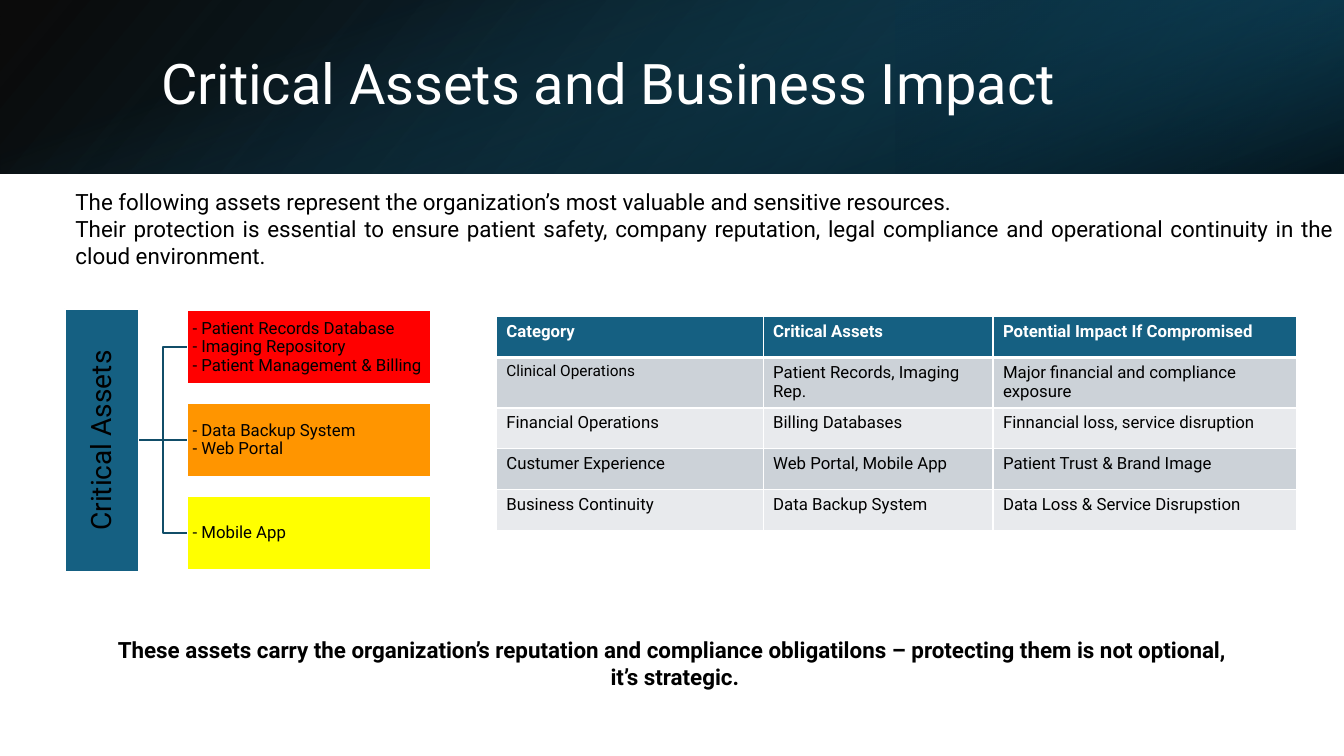
"""Build the slide on critical assets and their business impact."""
from lxml import etree
from pptx import Presentation
from pptx import util as u
from pptx.dml.color import RGBColor
from pptx.enum import shapes, text
from pptx.oxml.ns import qn

Pt = u.Pt
FONT = "Roboto"
COLORS = {
    "white": "FFFFFF", "black": "000000", "teal": "156082", "line": "114D68",
    "deep": "104862", "night": "0B3041", "red": "FF0000", "orange": "FF9500",
    "yellow": "FFFF00", "odd": "CCD2D8", "even": "E8EAED",
}
BANNER_HEIGHT = 123.84
BANNER_LAYERS = [
    {"box": (0, 0, 960, BANNER_HEIGHT), "turn": 0, "flip": True, "angle": 140,
     "stops": [(0, "black", 96), (100, "deep", 100)]},
    {"box": (640, 0, 320, BANNER_HEIGHT), "turn": 180, "flip": True, "angle": 320,
     "stops": [(19, "night", 68), (100, "teal", 79)]},
    {"box": (418.08, -418.08, BANNER_HEIGHT, 960), "turn": 90, "flip": False, "angle": 340,
     "stops": [(23, "teal", 0), (99, "black", 74)]},
]
TITLE = "Critical Assets and Business Impact"
INTRO = [
    "The following assets represent the organization’s most valuable and sensitive resources.",
    "Their protection is essential to ensure patient safety, company reputation, legal compliance "
    "and operational continuity in the cloud environment.",
]
CLOSING = [
    "These assets carry the organization’s reputation and compliance obligatilons – "
    "protecting them is not optional, ",
    "it’s strategic.",
]
ROOT = "Critical Assets"
TIERS = [
    ("red", ["Patient Records Database", "Imaging Repository", "Patient Management & Billing"]),
    ("orange", ["Data Backup System", "Web Portal"]),
    ("yellow", ["Mobile App"]),
]
IMPACTS = [
    ("Category", "Critical Assets", "Potential Impact If Compromised"),
    ("Clinical Operations", "Patient Records, Imaging Rep.",
     "Major financial and compliance exposure"),
    ("Financial Operations", "Billing Databases", "Finnancial loss, service disruption"),
    ("Custumer Experience", "Web Portal, Mobile App", "Patient Trust & Brand Image"),
    ("Business Continuity", "Data Backup System", "Data Loss & Service Disrupstion"),
]
COLUMN_WIDTHS = (190.6, 164.2, 216.9)
ROW_HEIGHT = 29.2


def rgb(name):
    return RGBColor.from_string(COLORS[name])


def write(frame, lines, size, color="black", bold=False, align=None, spacing=None):
    frame.word_wrap = True
    for index, line in enumerate(lines):
        para = frame.paragraphs[0] if index == 0 else frame.add_paragraph()
        para.text = line
        para.alignment = align
        para.line_spacing = spacing
        para.font.name = FONT
        para.font.size = Pt(size)
        para.font.bold = bold
        para.font.color.rgb = rgb(color)


def add_text(page, place, lines, size, **style):
    box = page.shapes.add_textbox(*map(Pt, place))
    write(box.text_frame, lines, size, **style)
    return box


def add_rectangle(page, place):
    box = page.shapes.add_shape(shapes.MSO_SHAPE.RECTANGLE, *map(Pt, place))
    box.shadow.inherit = False
    return box


def add_banner_layer(page, layer):
    box = add_rectangle(page, layer["box"])
    box.line.fill.background()
    box.rotation = layer["turn"]
    if layer["flip"]:
        box._element.spPr.find(qn("a:xfrm")).set("flipH", "1")
    box.fill.gradient()
    box.fill.gradient_angle = 360 - layer["angle"]
    for stop, (position, color, opacity) in zip(box.fill.gradient_stops, layer["stops"]):
        stop.position = position / 100
        stop.color.rgb = rgb(color)
    tints = box._element.spPr.iter(qn("a:srgbClr"))
    for tint, (position, color, opacity) in zip(list(tints), layer["stops"]):
        etree.SubElement(tint, qn("a:alpha")).set("val", str(opacity * 1000))


def add_node(page, place, color, label, size, align):
    box = add_rectangle(page, place)
    box.fill.solid()
    box.fill.fore_color.rgb = rgb(color)
    box.line.color.rgb = rgb("white")
    box.line.width = Pt(1.5)
    frame = box.text_frame
    frame.margin_left = frame.margin_right = frame.margin_top = frame.margin_bottom = Pt(0.7)
    frame.vertical_anchor = text.MSO_ANCHOR.MIDDLE
    write(frame, [label], size, align=align, spacing=0.9)
    return box


def add_branch(page, start, end, leaf):
    straight = start[1] == end[1]
    kind = shapes.MSO_CONNECTOR.STRAIGHT if straight else shapes.MSO_CONNECTOR.ELBOW
    branch = page.shapes.add_connector(kind, *map(Pt, start + end))
    branch.line.color.rgb = rgb("line")
    branch.line.width = Pt(1.5)
    etree.SubElement(branch._element.spPr, qn("a:effectLst"))
    if straight:
        branch.end_connect(leaf, 1)


def add_asset_tree(page):
    middle, thickness, length = 314.6, 53, 188
    root_right, leaf_left, leaf_width, pitch = 99.4, 133.9, 174, 66.4
    root_center = root_right - thickness / 2
    root = add_node(page, (root_center - length / 2, middle - thickness / 2, length, thickness),
                    "teal", ROOT, 20, text.PP_ALIGN.CENTER)
    root.rotation = 270
    for index, (color, assets) in enumerate(TIERS):
        center = middle + (index - 1) * pitch
        label = "\v".join(f" - {asset}" for asset in assets)
        leaf = add_node(page, (leaf_left, center - thickness / 2, leaf_width, thickness),
                        color, label, 12, text.PP_ALIGN.LEFT)
        add_branch(page, (root_right, middle), (leaf_left, center), leaf)


def set_borders(cell, row):
    widths = {"lnL": 1, "lnR": 1, "lnT": 3 if row == 1 else 1, "lnB": 3 if row == 0 else 1}
    properties = cell._tc.get_or_add_tcPr()
    for index, (side, width) in enumerate(widths.items()):
        border = etree.Element(qn(f"a:{side}"), w=str(Pt(width)))
        fill = etree.SubElement(border, qn("a:solidFill"))
        etree.SubElement(fill, qn("a:srgbClr")).set("val", COLORS["white"])
        properties.insert(index, border)


def add_impact_table(page):
    place = (354.5, 226.2, sum(COLUMN_WIDTHS), ROW_HEIGHT * len(IMPACTS))
    table = page.shapes.add_table(len(IMPACTS), len(COLUMN_WIDTHS), *map(Pt, place)).table
    for column, width in zip(table.columns, COLUMN_WIDTHS):
        column.width = Pt(width)
    for row, values in enumerate(IMPACTS):
        table.rows[row].height = Pt(ROW_HEIGHT)
        header = row == 0
        shade = "teal" if header else ("even", "odd")[row % 2]
        for column, value in enumerate(values):
            cell = table.cell(row, column)
            cell.fill.solid()
            cell.fill.fore_color.rgb = rgb(shade)
            size = 11 if (row, column) == (1, 0) else 12
            write(cell.text_frame, [value], size, "white" if header else "black", header)
            set_borders(cell, row)


def main():
    deck = Presentation()
    deck.slide_width, deck.slide_height = Pt(960), Pt(540)
    page = deck.slides.add_slide(deck.slide_layouts[6])
    for layer in BANNER_LAYERS:
        add_banner_layer(page, layer)
    title = add_text(page, (108, 27.4, 790.6, 69), [TITLE], 40, color="white", spacing=0.9)
    title.text_frame.vertical_anchor = text.MSO_ANCHOR.MIDDLE
    add_text(page, (46.8, 131, 913, 65.5), INTRO, 16, align=text.PP_ALIGN.JUSTIFY)
    add_asset_tree(page)
    add_impact_table(page)
    add_text(page, (38.2, 450.7, 887.8, 46), CLOSING, 16, bold=True, align=text.PP_ALIGN.CENTER)
    deck.save("out.pptx")


if __name__ == "__main__":
    main()
